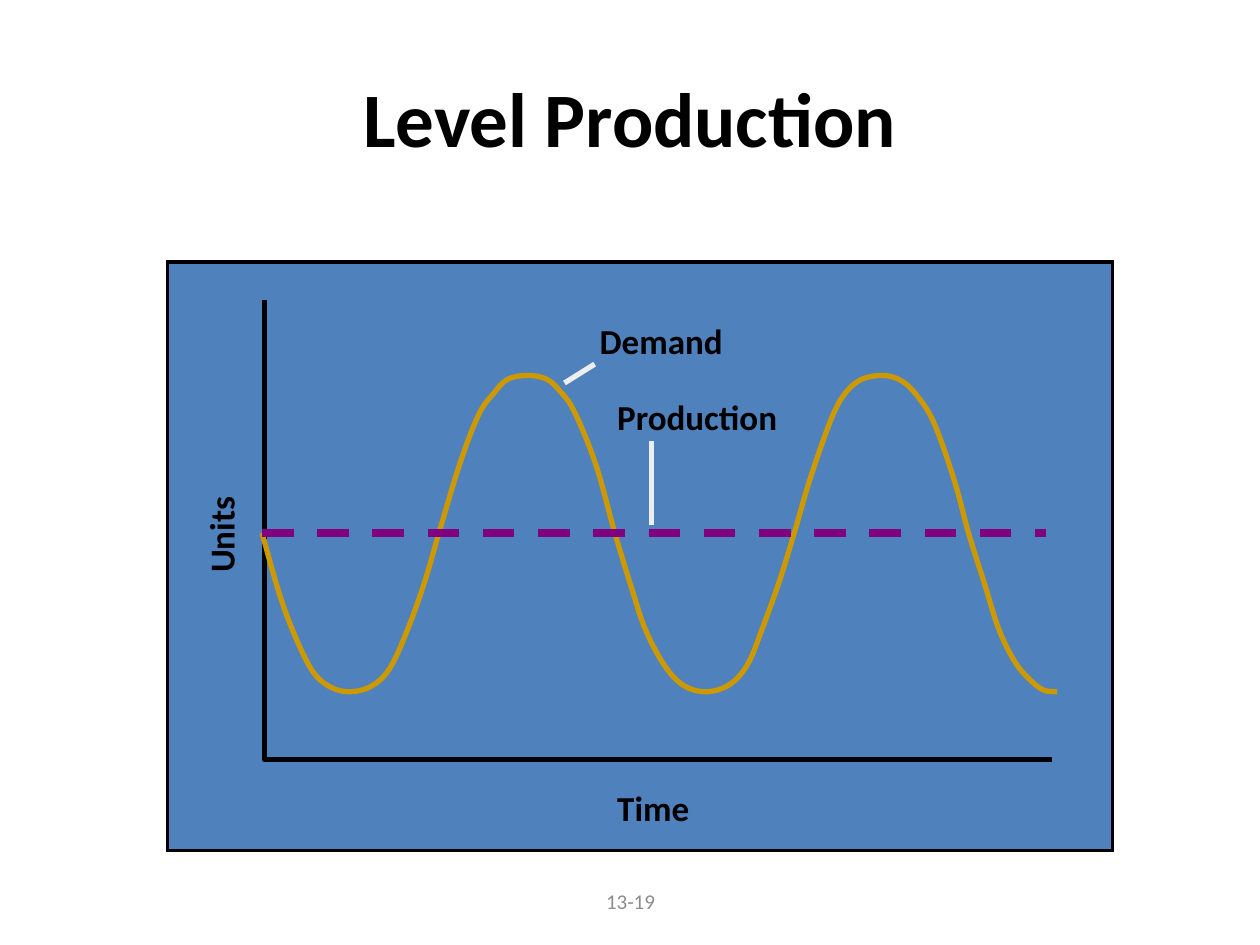
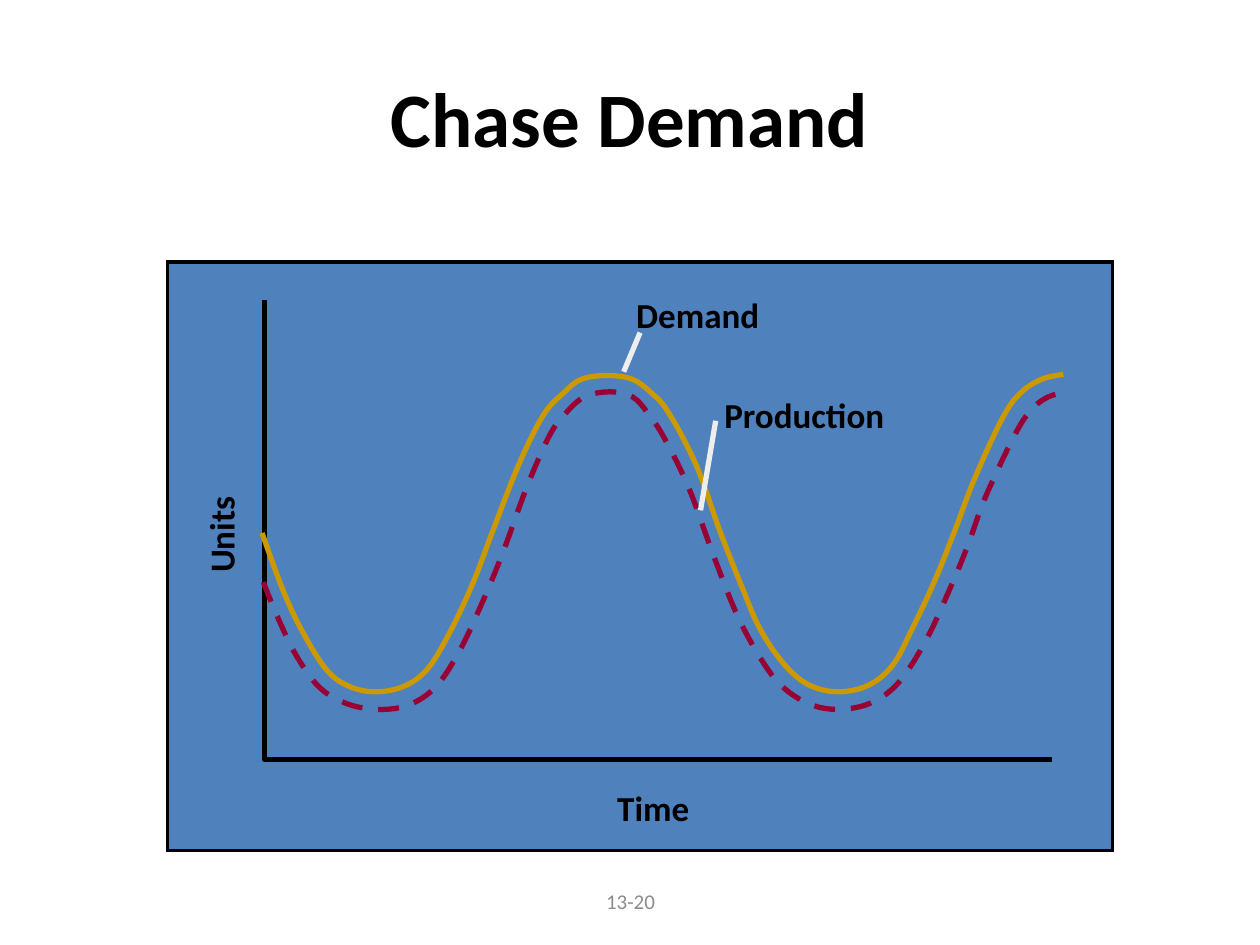
from dataclasses import dataclass
from typing import NamedTuple

from lxml.etree import SubElement
from pptx import Presentation
from pptx.dml.color import RGBColor
from pptx.enum.dml import MSO_LINE
from pptx.enum.shapes import MSO_CONNECTOR, MSO_SHAPE
from pptx.enum.text import MSO_ANCHOR, PP_ALIGN
from pptx.oxml.ns import qn
from pptx.util import Inches, Pt

FONT = "Calibri"
BLACK, GRAY, PALE = "000000", "8C8C8C", "EEEEEE"
BLUE, GOLD, PURPLE, WINE = "4F81BD", "CC9900", "800080", "990033"
STRETCH = 1.3


class Point(NamedTuple):
    """A place on the slide in inches."""
    x: float
    y: float


class Box(NamedTuple):
    """A frame on the slide in inches."""
    left: float
    top: float
    width: float
    height: float


@dataclass
class Label:
    """A curve name with the line that leads from it."""
    text: str
    box: Box
    start: Point
    end: Point


@dataclass
class Trace:
    """A curve or level line in the plot."""
    knots: list[Point]
    color: str
    width: float = 3
    dash: bool = False


@dataclass
class Plan:
    """The content of one slide."""
    title: str
    page: str
    traces: list[Trace]
    labels: list[Label]


WAVE = [Point(*pair) for pair in (
    (2.08, 4.23), (2.21, 4.69), (2.33, 5.02), (2.47, 5.31), (2.6, 5.44),
    (2.76, 5.49), (2.94, 5.45), (3.09, 5.31), (3.23, 5.01), (3.37, 4.62),
    (3.49, 4.21), (3.65, 3.68), (3.8, 3.29), (3.92, 3.12), (4.03, 3.01),
    (4.19, 2.98), (4.34, 3.01), (4.45, 3.11), (4.56, 3.27), (4.73, 3.69),
    (4.88, 4.23), (5.02, 4.69), (5.12, 4.99), (5.26, 5.26), (5.41, 5.43),
    (5.59, 5.49), (5.78, 5.44), (5.93, 5.28), (6.05, 4.99), (6.19, 4.6),
    (6.31, 4.21), (6.43, 3.8), (6.6, 3.32), (6.71, 3.12), (6.84, 3.01),
    (7.01, 2.98), (7.15, 3.02), (7.27, 3.13), (7.41, 3.35), (7.57, 3.8),
    (7.69, 4.24), (7.81, 4.62), (7.93, 5), (8.06, 5.26), (8.19, 5.41),
    (8.29, 5.48), (8.39, 5.49))]
CHASE = [Point(*pair) for pair in (
    (2.09, 4.62), (2.2, 4.89), (2.35, 5.2), (2.53, 5.45), (2.74, 5.58),
    (2.98, 5.63), (3.23, 5.6), (3.45, 5.46), (3.64, 5.18), (3.82, 4.8),
    (3.99, 4.39), (4.18, 3.87), (4.36, 3.46), (4.49, 3.28), (4.64, 3.15),
    (4.84, 3.11), (5.02, 3.15), (5.15, 3.29), (5.28, 3.49), (5.47, 3.88),
    (5.66, 4.4), (5.85, 4.88), (6.04, 5.23), (6.21, 5.45), (6.43, 5.59),
    (6.66, 5.63), (6.91, 5.58), (7.13, 5.42), (7.34, 5.1), (7.51, 4.74),
    (7.67, 4.36), (7.82, 3.95), (8.04, 3.48), (8.17, 3.27), (8.3, 3.16),
    (8.45, 3.11))]
FIRST = WAVE[0]
WIDE = [Point(FIRST.x + (knot.x - FIRST.x) * STRETCH, knot.y)
        for knot in WAVE if knot.x < 7] + [Point(8.44, 2.97)]
AXES = [Point(2.1, 2.38), Point(2.1, 6.03), Point(8.35, 6.03)]

PLANS = [
    Plan("Level Production", "13-19",
         [Trace(WAVE, GOLD),
          Trace([FIRST, Point(8.3, FIRST.y)], PURPLE, 4.5, True)],
         [Label("Demand", Box(4.66, 2.49, 1.81, 0.43),
                Point(4.72, 2.89), Point(4.48, 3.04)),
          Label("Production", Box(4.8, 3.09, 1.74, 0.43),
                Point(5.17, 3.5), Point(5.17, 4.17))]),
    Plan("Chase Demand", "13-20",
         [Trace(WIDE, GOLD), Trace(CHASE, WINE, dash=True)],
         [Label("Demand", Box(4.95, 2.28, 1.81, 0.43),
                Point(5.08, 2.64), Point(4.95, 2.95)),
          Label("Production", Box(5.65, 3.07, 1.74, 0.43),
                Point(5.68, 3.34), Point(5.56, 4.05))]),
]


def tint(color: str) -> RGBColor:
    """Turn a hex string into a colour."""
    return RGBColor.from_string(color)


def ink(line, color: str, width: float, dash: bool = False) -> None:
    """Set the colour, width and dash of a line."""
    line.color.rgb = tint(color)
    line.width = Pt(width)
    if dash:
        line.dash_style = MSO_LINE.DASH


def write(slide, text: str, box: Box, *, size: float = 20, color: str = BLACK,
          bold: bool = True, align=PP_ALIGN.LEFT, anchor=MSO_ANCHOR.TOP,
          turn: float = 0) -> None:
    """Place a line of text in a box."""
    shape = slide.shapes.add_textbox(*map(Inches, box))
    shape.rotation = turn
    frame = shape.text_frame
    frame.word_wrap = True
    frame.vertical_anchor = anchor
    para = frame.paragraphs[0]
    para.alignment = align
    run = para.add_run()
    run.text = text
    run.font.name, run.font.size, run.font.bold = FONT, Pt(size), bold
    run.font.color.rgb = tint(color)


def sketch(slide, points: list[Point], color: str, width: float,
           dash: bool = False):
    """Draw an open outline through the points and return it."""
    spots = [(Inches(spot.x), Inches(spot.y)) for spot in points]
    pen = slide.shapes.build_freeform(*spots[0])
    pen.add_line_segments(spots[1:], close=False)
    shape = pen.convert_to_shape()
    shape.shadow.inherit = False
    shape.fill.background()
    ink(shape.line, color, width, dash)
    return shape


def bend(shape) -> None:
    """Turn the straight parts of an outline into smooth curves."""
    track = next(shape.element.iter(qn("a:path")))
    knots = [(int(dot.get("x")), int(dot.get("y")))
             for dot in track.iter(qn("a:pt"))]
    for part in track.findall(qn("a:lnTo")):
        track.remove(part)
    ends = [knots[0], *knots, knots[-1]]
    for four in zip(ends, ends[1:], ends[2:], ends[3:]):
        curve = SubElement(track, qn("a:cubicBezTo"))
        trio = zip(*((b + (c - a) / 6, c - (d - b) / 6, c)
                     for a, b, c, d in zip(*four)))
        for x, y in trio:
            SubElement(curve, qn("a:pt"), x=str(round(x)), y=str(round(y)))


def link(slide, start: Point, end: Point, color: str, width: float,
         dash: bool = False) -> None:
    """Draw a straight line."""
    line = slide.shapes.add_connector(MSO_CONNECTOR.STRAIGHT,
                                      *map(Inches, (*start, *end)))
    ink(line.line, color, width, dash)
    SubElement(line.element.spPr, qn("a:effectLst"))


def frame(slide, plan: Plan) -> None:
    """Draw the title, page number, panel and axes."""
    write(slide, plan.page, Box(3.42, 6.95, 3.17, 0.4), size=12, color=GRAY,
          bold=False, align=PP_ALIGN.CENTER, anchor=MSO_ANCHOR.MIDDLE)
    write(slide, plan.title, Box(0.5, 0.3, 9, 1.25), size=44,
          align=PP_ALIGN.CENTER, anchor=MSO_ANCHOR.MIDDLE)
    panel = slide.shapes.add_shape(MSO_SHAPE.RECTANGLE,
                                   *map(Inches, (1.33, 2.08, 7.5, 4.67)))
    panel.shadow.inherit = False
    panel.fill.solid()
    panel.fill.fore_color.rgb = tint(BLUE)
    ink(panel.line, BLACK, 2)
    SubElement(panel.element.spPr.find(qn("a:ln")), qn("a:miter"),
               lim="800000")
    sketch(slide, AXES, BLACK, 3)
    write(slide, "Units", Box(1.22, 3.9, 1.06, 0.43), turn=270)
    write(slide, "Time", Box(4.8, 6.19, 1.09, 0.43))


def plot(slide, plan: Plan) -> None:
    """Draw the traces and their labels."""
    for trace in plan.traces:
        look = trace.color, trace.width, trace.dash
        if len(trace.knots) == 2:
            link(slide, *trace.knots, *look)
        else:
            bend(sketch(slide, trace.knots, *look))
    for label in plan.labels:
        write(slide, label.text, label.box)
        link(slide, label.start, label.end, PALE, 3)


def main() -> None:
    """Build and save the deck."""
    deck = Presentation()
    deck.slide_width, deck.slide_height = Inches(10), Inches(7.5)
    for plan in PLANS:
        slide = deck.slides.add_slide(deck.slide_layouts[6])
        frame(slide, plan)
        plot(slide, plan)
    deck.save("out.pptx")


if __name__ == "__main__":
    main()
